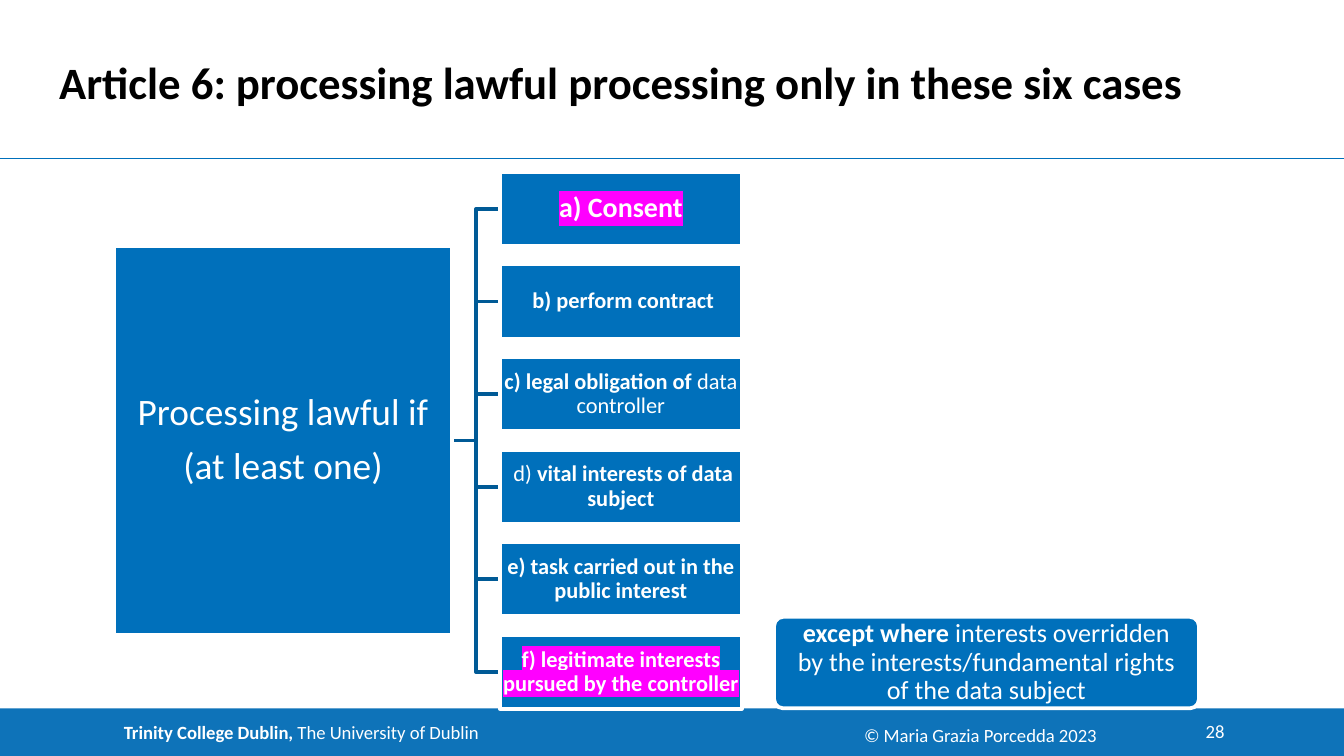
from dataclasses import dataclass

from lxml import etree
from pptx import Presentation
from pptx import util as u
from pptx.dml.color import RGBColor
from pptx.enum import shapes, text
from pptx.oxml.ns import qn


@dataclass(frozen=True)
class Theme:
    font: str = "Calibri"
    box: str = "0070BB"
    footer: str = "0E73B9"
    bracket: str = "005A96"
    marker: str = "FF00FF"
    light: str = "FFFFFF"
    dark: str = "000000"
    title_size: int = 24
    main_size: int = 20
    consent_size: int = 15
    case_size: int = 12
    exception_size: int = 14
    footer_size: int = 10
    outline: int = 2
    rule: float = 0.75


THEME = Theme()
CENTER = text.PP_ALIGN.CENTER
MIDDLE = text.MSO_ANCHOR.MIDDLE


def highlight(run, color):
    """Mark the run's background; the element must follow the font fill."""
    mark = etree.Element(qn("a:highlight"))
    etree.SubElement(mark, qn("a:srgbClr"), val=color)
    run.font._element.find(qn("a:solidFill")).addnext(mark)


def write(frame, paragraphs, size, color=THEME.light, align=None, anchor=text.MSO_ANCHOR.TOP,
          insets=(0, 0, 0, 0), spacing=None, gap=0, marker=None):
    """Fill a frame; each paragraph is a list of (wording, bold) runs."""
    frame.word_wrap = True
    frame.vertical_anchor = anchor
    frame.margin_left, frame.margin_top, frame.margin_right, frame.margin_bottom = map(u.Cm, insets)
    for index, runs in enumerate(paragraphs):
        paragraph = frame.add_paragraph() if index else frame.paragraphs[0]
        paragraph.alignment = align
        if spacing:
            paragraph.line_spacing = spacing
        if index < len(paragraphs) - 1:
            paragraph.space_after = u.Pt(gap)
        for wording, bold in runs:
            run = paragraph.add_run()
            run.text = wording
            run.font.name = THEME.font
            run.font.size = u.Pt(size)
            run.font.bold = bold
            run.font.color.rgb = RGBColor.from_string(color)
            if marker:
                highlight(run, marker)


class SlideBuilder:
    def __init__(self, slide, theme):
        self.slide = slide
        self.theme = theme

    def outline(self, line, color, width):
        line.color.rgb = RGBColor.from_string(color)
        line.width = u.Pt(width)

    def box(self, area, paragraphs, fill=None, border=True, rounding=None, **style):
        kind = shapes.MSO_SHAPE.RECTANGLE if rounding is None else shapes.MSO_SHAPE.ROUNDED_RECTANGLE
        box = self.slide.shapes.add_shape(kind, *map(u.Cm, area))
        box.shadow.inherit = False
        if rounding is not None:
            box.adjustments[0] = rounding
        box.fill.solid()
        box.fill.fore_color.rgb = RGBColor.from_string(fill or self.theme.box)
        if border:
            self.outline(box.line, self.theme.light, self.theme.outline)
        else:
            box.line.fill.background()
        write(box.text_frame, paragraphs, anchor=MIDDLE, **style)

    def label(self, area, paragraphs, **style):
        label = self.slide.shapes.add_textbox(*map(u.Cm, area))
        write(label.text_frame, paragraphs, **style)

    def rule(self, y, width):
        rule = self.slide.shapes.add_connector(
            shapes.MSO_CONNECTOR.STRAIGHT, 0, u.Cm(y), u.Cm(width), u.Cm(y))
        etree.SubElement(rule._element.spPr, qn("a:effectLst"))
        self.outline(rule.line, self.theme.box, self.theme.rule)

    def elbow(self, start, end):
        """Draw an open step that turns halfway between start and end."""
        middle = (start[0] + end[0]) / 2
        corners = [(middle, start[1]), (middle, end[1]), end]
        path = self.slide.shapes.build_freeform(u.Cm(start[0]), u.Cm(start[1]))
        path.add_line_segments([(u.Cm(x), u.Cm(y)) for x, y in corners], close=False)
        step = path.convert_to_shape()
        step.shadow.inherit = False
        step.fill.background()
        self.outline(step.line, self.theme.bracket, self.theme.outline)


def main():
    deck = Presentation()
    deck.slide_width, deck.slide_height = u.Cm(25.4), u.Cm(14.29)
    page = SlideBuilder(deck.slides.add_slide(deck.slide_layouts[6]), THEME)

    page.box((0, 13.39, 25.4, 0.9),
             [[("Trinity College Dublin, ", True), ("The University of Dublin", False)]],
             fill=THEME.footer, border=False, size=THEME.footer_size,
             align=text.PP_ALIGN.LEFT, insets=(2.34, 0, 0, 0))
    page.rule(3, 25.4)
    page.label((22.1, 13.61, 1.04, 0.43), [[("28", False)]],
               size=THEME.footer_size, align=text.PP_ALIGN.RIGHT)

    cases = [
        [("a) Consent", True)],
        [(" b) perform contract", True)],
        [("c) legal obligation of", True), (" data controller", False)],
        [(" d) ", False), ("vital interests of data subject", True)],
        [("e) task carried out in the public interest", True)],
        [("f) legitimate interests pursued by the controller", True)],
    ]
    marked = {0, len(cases) - 1}
    case_left, case_top, case_pitch, case_width, case_height = 9.45, 3.25, 1.75, 4.57, 1.4
    case_tops = [case_top + index * case_pitch for index in range(len(cases))]
    main_left, main_width, main_height = 2.16, 6.38, 7.34
    center = (case_tops[0] + case_tops[-1] + case_height) / 2
    thin = (0.03,) * 4

    for top in case_tops:
        page.elbow((main_left + main_width, center), (case_left, top + case_height / 2))
    page.box((main_left, center - main_height / 2, main_width, main_height),
             [[("Processing lawful if", False)], [("(at least one)", False)]],
             size=THEME.main_size, align=CENTER, insets=thin, spacing=0.9, gap=7)
    for index, (top, runs) in enumerate(zip(case_tops, cases)):
        page.box((case_left, top, case_width, case_height), [runs],
                 size=THEME.case_size if index else THEME.consent_size, align=CENTER,
                 insets=thin, spacing=0.9, marker=THEME.marker if index in marked else None)

    page.label((1.12, 1.04, 23.52, 1.73),
               [[("Article 6: processing lawful processing only in these six cases", True)]],
               size=THEME.title_size, color=THEME.dark)
    page.label((16.08, 13.56, 6.1, 0.69), [[("© Maria Grazia Porcedda 2023", False)]],
               size=THEME.footer_size, insets=(0.25, 0.13, 0.25, 0.13))
    page.box((14.63, 11.66, 8.03, 1.73),
             [[("except where ", True),
               ("interests overridden by the interests/fundamental rights of the data subject", False)]],
             rounding=0.1, size=THEME.exception_size, align=CENTER,
             insets=(0.3, 0.15, 0.3, 0.15), spacing=0.9)

    deck.save("out.pptx")


if __name__ == "__main__":
    main()
